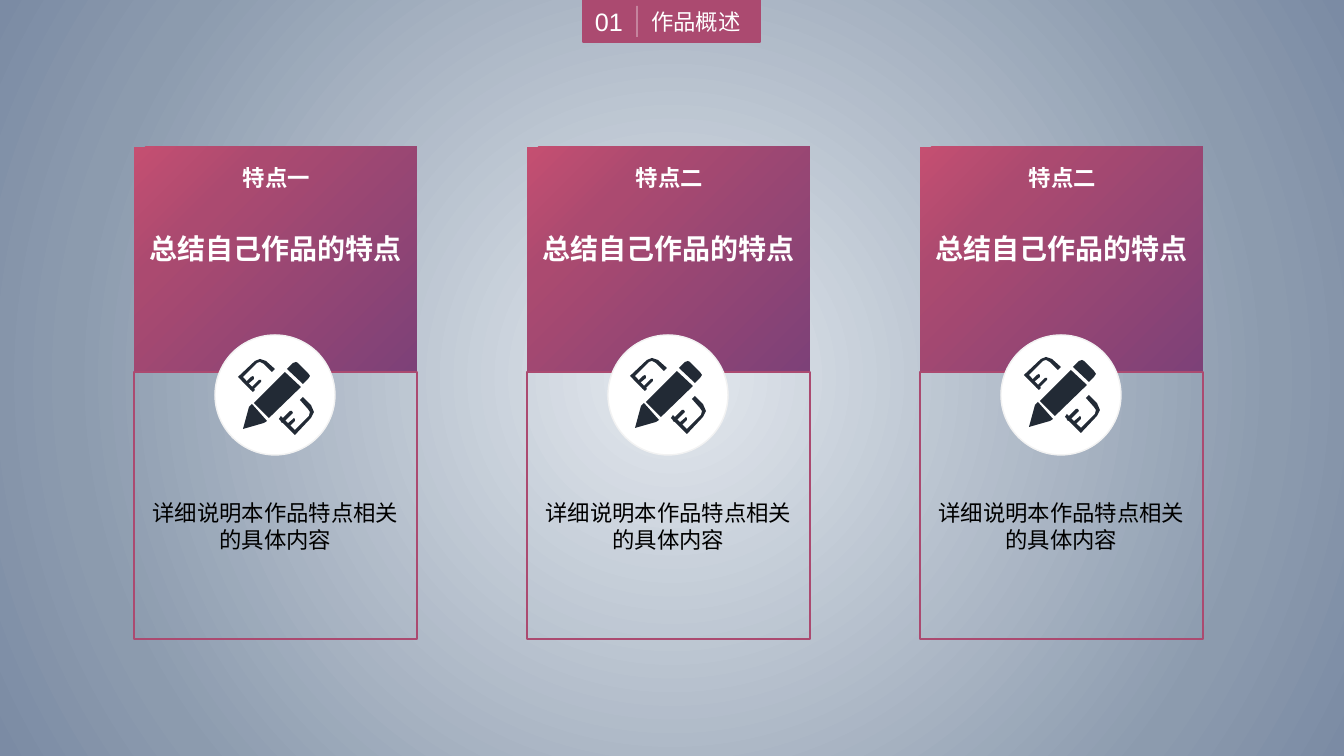
from pptx import Presentation, util as u
from pptx.dml.color import RGBColor
from pptx.enum import shapes, text
from pptx.oxml import parse_xml
from pptx.oxml.ns import nsdecls, qn

PX = 914400 / 100.8
ROSE = RGBColor(0xAB, 0x4A, 0x70)
PLUM = RGBColor(0x7D, 0x41, 0x78)
CORAL = RGBColor(0xC5, 0x4F, 0x71)
WHITE = RGBColor(0xFF, 0xFF, 0xFF)
BLACK = RGBColor(0, 0, 0)
RIM = RGBColor(0xF2, 0xF2, 0xF2)
INK = RGBColor(0x22, 0x2A, 0x35)
MIST = RGBColor(0xE4, 0xE9, 0xEF)
SLATE = RGBColor(0x8C, 0x9B, 0xAE)
STEEL = RGBColor(0x7B, 0x8B, 0xA4)


def px(*lengths):
    return [u.Emu(round(n * PX)) for n in lengths]


def make_radial(owner, stops, focus):
    """Swap the owner's solid fill for a radial gradient around focus (l, t, r, b)."""
    solid = next(owner.iter(qn("a:solidFill")))
    steps = "".join(f'<a:gs pos="{pos * 1000}"><a:srgbClr val="{color}"/></a:gs>'
                    for pos, color in stops)
    sides = " ".join(f'{side}="{n * 1000}"' for side, n in zip("ltrb", focus))
    solid.getparent().replace(solid, parse_xml(
        f'<a:gradFill {nsdecls("a")} rotWithShape="1"><a:gsLst>{steps}</a:gsLst>'
        f'<a:path path="circle"><a:fillToRect {sides}/></a:path></a:gradFill>'))


prs = Presentation()
prs.slide_width, prs.slide_height = px(1344, 756)
slide = prs.slides.add_slide(prs.slide_layouts[5])

# Background
slide.background.fill.solid()
make_radial(slide.background._cSld, [(0, MIST), (78, SLATE), (100, STEEL)], (50, 50, 50, 50))

# Section tag with number, divider and title
tag = slide.shapes.add_shape(shapes.MSO_SHAPE.RECTANGLE, *px(583, 0, 177, 42))
tag.shadow.inherit = False
tag.fill.solid()
tag.fill.fore_color.rgb = tag.line.color.rgb = ROSE
tag.line.width = u.Pt(1)

title = slide.shapes.title
title.left, title.top, title.width, title.height = px(641, 3, 119, 37)
tag._element.addnext(title._element)
number = slide.shapes.add_textbox(*px(583, 1, 52, 40))
for label, wording, size, align in [
        (title, "作品概述", 16, text.PP_ALIGN.LEFT),
        (number, "01", 18, text.PP_ALIGN.CENTER)]:
    frame = label.text_frame
    frame.text = wording
    frame.word_wrap = True
    frame.auto_size = text.MSO_AUTO_SIZE.NONE
    frame.vertical_anchor = text.MSO_ANCHOR.MIDDLE
    frame.paragraphs[0].alignment = align
    font = frame.paragraphs[0].runs[0].font
    font.name, font.size, font.color.rgb = "Arial", u.Pt(size), WHITE

divider = slide.shapes.add_connector(shapes.MSO_CONNECTOR.STRAIGHT, *px(637, 6, 637, 37))
divider.line.color.rgb = WHITE
divider.line.width = u.Pt(1)
next(divider._element.iter(qn("a:srgbClr"))).append(
    parse_xml(f'<a:alpha {nsdecls("a")} val="49000"/>'))
divider._element.spPr.append(parse_xml(f'<a:effectLst {nsdecls("a")}/>'))

# Pencil-and-ruler outlines, measured from the badge corner
ICON = [
    # eraser, pencil body, pencil tip
    [(78, 27), (81, 26), (83, 27), (93, 37), (95, 40), (93, 43), (88, 48), (72, 33)],
    [(86, 51), (54, 82), (39, 67), (70, 36)],
    [(37, 68), (52, 85), (49, 87), (28, 93), (34, 71)],
    # upper ruler and its two marks
    [(38, 56), (23, 41), (40, 25), (45, 23), (51, 25), (60, 33),
     (57, 36), (49, 28), (45, 26), (42, 27), (28, 41), (40, 54)],
    [(32, 49), (31, 48), (31, 46), (36, 41), (38, 40), (39, 41), (39, 43), (33, 48)],
    [(37, 54), (36, 54), (35, 53), (36, 52), (44, 44), (46, 44), (46, 46), (38, 54)],
    # lower ruler and its two marks
    [(80, 99), (64, 83), (66, 80), (80, 94), (94, 80), (95, 76),
     (93, 73), (85, 64), (88, 61), (96, 69), (99, 76), (96, 82)],
    [(73, 91), (72, 90), (72, 88), (78, 83), (79, 82), (80, 83), (80, 85), (74, 91)],
    [(67, 87), (66, 86), (66, 84), (75, 75), (77, 75), (78, 77), (69, 86)],
]

# Feature cards: heading, icon shift
CARDS = [("特点一", 0, 0), ("特点二", -1, -1), ("特点二", 0, -2)]
for index, (heading, icon_dx, icon_dy) in enumerate(CARDS):
    left = 134 + 393 * index

    panel = slide.shapes.add_shape(shapes.MSO_SHAPE.RECTANGLE, *px(left, 147, 283, 226))
    panel.shadow.inherit = False
    panel.fill.solid()
    make_radial(panel._element.spPr, [(0, PLUM), (73, ROSE), (100, CORAL)], (100, 100, 0, 0))
    panel.line.fill.background()

    outline = slide.shapes.add_shape(shapes.MSO_SHAPE.RECTANGLE, *px(left, 372, 283, 267))
    outline.shadow.inherit = False
    outline.fill.background()
    outline.line.color.rgb = ROSE
    outline.line.width = u.Pt(1)

    for wording, dx, top, width, height, size, bold, color in [
            (heading, 98, 159, 89, 37, 16, True, WHITE),
            ("总结自己作品的特点", 4, 227, 275, 44, 20, True, WHITE),
            ("详细说明本作品特点相关\n的具体内容", 7, 494, 269, 65, 16, False, BLACK)]:
        box = slide.shapes.add_textbox(*px(left + dx, top, width, height))
        box.text_frame.text = wording
        box.text_frame.word_wrap = False
        for paragraph in box.text_frame.paragraphs:
            paragraph.alignment = text.PP_ALIGN.CENTER
            font = paragraph.runs[0].font
            font.name, font.size, font.bold = "Arial", u.Pt(size), bold
            font.color.rgb = color

    # Round badge with the icon
    badge = slide.shapes.add_group_shape()
    disc = badge.shapes.add_shape(shapes.MSO_SHAPE.OVAL, *px(left + 81, 335, 120, 120))
    disc.shadow.inherit = False
    disc.fill.solid()
    disc.fill.fore_color.rgb = WHITE
    disc.line.color.rgb = RIM
    disc.line.width = u.Pt(1)
    for points in ICON:
        start, *rest = [(left + 81 + icon_dx + x, 336 + icon_dy + y) for x, y in points]
        builder = badge.shapes.build_freeform(*start, scale=PX)
        builder.add_line_segments(rest, close=True)
        piece = builder.convert_to_shape()
        piece.shadow.inherit = False
        piece.fill.solid()
        piece.fill.fore_color.rgb = INK
        piece.line.fill.background()

prs.save("out.pptx")
